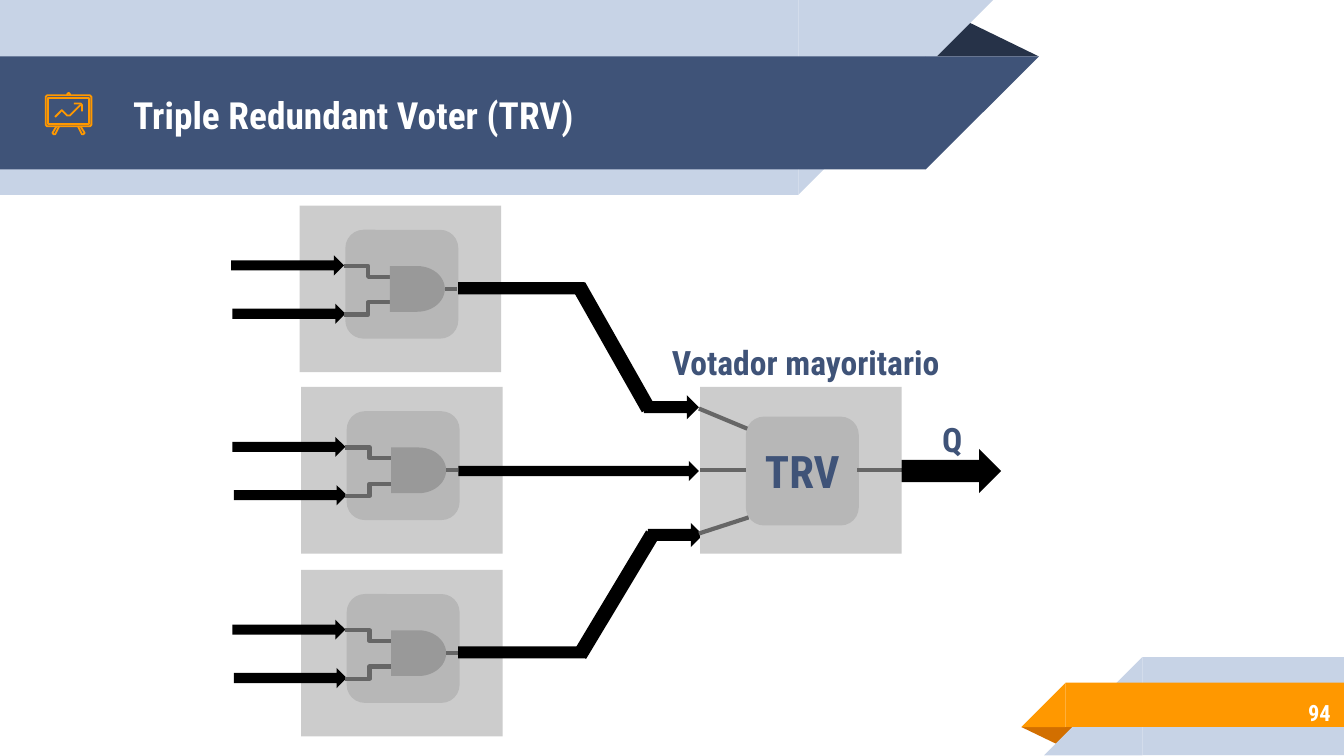
import pptx
import pptx.util
import pptx.dml.color
import pptx.enum.shapes
import pptx.enum.text
import pptx.oxml.ns
import lxml.etree

Inches = pptx.util.Inches
Pt = pptx.util.Pt
RGBColor = pptx.dml.color.RGBColor
SHAPE = pptx.enum.shapes.MSO_SHAPE
LINK = pptx.enum.shapes.MSO_CONNECTOR
ALIGN = pptx.enum.text.PP_ALIGN

NAVY = RGBColor(0x3F, 0x53, 0x78)
DARK_NAVY = RGBColor(0x26, 0x32, 0x48)
PALE_BLUE = RGBColor(0xC7, 0xD3, 0xE6)
ORANGE = RGBColor(0xFF, 0x98, 0x00)
DARK_ORANGE = RGBColor(0xD2, 0x6F, 0x00)
LIGHT_GREY = RGBColor(0xCC, 0xCC, 0xCC)
MID_GREY = RGBColor(0xB7, 0xB7, 0xB7)
GATE_GREY = RGBColor(0x99, 0x99, 0x99)
WIRE_GREY = RGBColor(0x66, 0x66, 0x66)
BLACK = RGBColor(0, 0, 0)
WHITE = RGBColor(0xFF, 0xFF, 0xFF)


def write(frame, text, size=18, color=NAVY, align=ALIGN.CENTER, space_after=0):
    """Put one bold, vertically centred paragraph into a text frame."""
    frame.word_wrap = True
    frame.auto_size = pptx.enum.text.MSO_AUTO_SIZE.NONE
    frame.vertical_anchor = pptx.enum.text.MSO_ANCHOR.MIDDLE
    frame.margin_left = frame.margin_right = Inches(0.1)
    frame.margin_top = frame.margin_bottom = Inches(0.1)
    frame.text = text
    paragraph = frame.paragraphs[0]
    paragraph.alignment = align
    paragraph.space_after = Pt(space_after)
    font = paragraph.runs[0].font
    font.name = "Roboto Condensed"
    font.size = Pt(size)
    font.bold = True
    font.color.rgb = color


class Sketch:
    """The current slide and the style of its elements."""

    wire_width = Pt(2.25)
    icon_width = Pt(0.96)
    icon_unit = Inches(0.01)

    def __init__(self, slide):
        self.slide = slide
        self.shapes = slide.shapes

    def title(self, text, left, top, width, height):
        title = self.shapes.title
        title.left, title.top = Inches(left), Inches(top)
        title.width, title.height = Inches(width), Inches(height)
        write(title.text_frame, text, size=20, color=WHITE, align=ALIGN.LEFT)
        # Bring the title in front of the banner
        title.element.getparent().append(title.element)

    def label(self, text, left, top, width, height, **style):
        box = self.shapes.add_textbox(*map(Inches, (left, top, width, height)))
        write(box.text_frame, text, **style)

    def block(self, kind, left, top, width, height, fill,
              rotation=0, flip=None, adjust=None):
        block = self.shapes.add_shape(
            kind, *map(Inches, (left, top, width, height)))
        block.shadow.inherit = False
        block.fill.solid()
        block.fill.fore_color.rgb = fill
        block.line.fill.background()
        block.rotation = rotation
        if flip:
            block.element.spPr.xfrm.set(flip, "1")
        if adjust is not None:
            block.adjustments[0] = adjust
        return block

    def arrow(self, left, top, width, height):
        self.block(SHAPE.RIGHT_ARROW, left, top, width, height, BLACK)

    def wire(self, x1, y1, x2, y2, kind=LINK.STRAIGHT):
        wire = self.shapes.add_connector(kind, *map(Inches, (x1, y1, x2, y2)))
        wire.line.color.rgb = WIRE_GREY
        wire.line.width = self.wire_width
        lxml.etree.SubElement(wire.element.spPr,
                              pptx.oxml.ns.qn("a:effectLst"))

    def stroke(self, points, close=False):
        """Draw an outline through points given in hundredths of an inch."""
        builder = self.shapes.build_freeform(*points[0], scale=self.icon_unit)
        builder.add_line_segments(points[1:], close=close)
        stroke = builder.convert_to_shape()
        stroke.shadow.inherit = False
        stroke.fill.background()
        stroke.line.color.rgb = ORANGE
        stroke.line.width = self.icon_width

    def gate_module(self, left, top):
        """A redundant module: two inputs, an AND gate and its output."""
        self.block(SHAPE.RECTANGLE, left, top, 1.5, 1.24, LIGHT_GREY)
        self.arrow(left - 0.5, top + 0.73, 0.84, 0.15)
        self.arrow(left - 0.51, top + 0.37, 0.84, 0.15)
        self.block(SHAPE.ROUNDED_RECTANGLE, left + 0.34, top + 0.18,
                   0.84, 0.81, MID_GREY)
        for inner, outer in ((0.53, 0.45), (0.72, 0.81)):
            self.wire(left + 0.69, top + inner, left + 0.33, top + outer,
                      LINK.ELBOW)
        self.block(SHAPE.FLOWCHART_DELAY, left + 0.67, top + 0.45,
                   0.41, 0.34, GATE_GREY)
        self.wire(left + 1.08, top + 0.62, left + 1.17, top + 0.62)


def main():
    deck = pptx.Presentation()
    deck.slide_width, deck.slide_height = Inches(10), Inches(10 * 9 / 16)
    sketch = Sketch(deck.slides.add_slide(deck.slide_layouts[5]))

    # Header ribbon
    sketch.block(SHAPE.ISOSCELES_TRIANGLE, 6.88, 0.14, 0.85, 0.28, DARK_NAVY,
                 adjust=0.324)
    for top, length, height, fill in ((0, 5.94, 1.45, PALE_BLUE),
                                      (0.42, 6.89, 0.84, NAVY)):
        sketch.block(SHAPE.RECTANGLE, 0, top, length, height, fill)
        sketch.block(SHAPE.RIGHT_TRIANGLE, length, top, height, height, fill,
                     flip="flipV")

    # Footer ribbon
    sketch.block(SHAPE.ISOSCELES_TRIANGLE, 7.6, 5.41, 0.43, 0.14, DARK_ORANGE,
                 rotation=180, adjust=0.324)
    for left, top, height, fill in ((8.5, 4.89, 0.73, PALE_BLUE),
                                    (7.93, 5.08, 0.33, ORANGE)):
        sketch.block(SHAPE.RECTANGLE, left, top, 10 - left, height, fill)
        sketch.block(SHAPE.RIGHT_TRIANGLE, left - height, top, height, height,
                     fill, flip="flipH")

    sketch.title("Triple Redundant Voter (TRV)", 0.89, 0.43, 5.75, 0.84)
    sketch.label("94", 8.37, 5.13, 1.63, 0.35,
                 size=12, color=WHITE, align=ALIGN.RIGHT)

    # Easel icon: board, hook, legs, panel and trend arrow
    sketch.stroke([(35, 71), (67, 71), (68, 72), (68, 93), (67, 94),
                   (35, 94), (34, 93), (34, 72)], close=True)
    sketch.stroke([(50, 71), (50, 70), (51, 69), (52, 70), (52, 71)])
    sketch.stroke([(42, 94), (39, 99), (40, 100), (41, 100), (44, 94)])
    sketch.stroke([(58, 94), (61, 100), (62, 100), (63, 99), (60, 94)])
    sketch.stroke([(36, 73), (66, 73), (66, 92), (36, 92)], close=True)
    sketch.stroke([(60, 78), (52, 86), (50, 86), (46, 82), (41, 87)])
    sketch.stroke([(55, 77), (60, 77), (61, 78), (61, 83)])

    # Three redundant modules
    for left, top in ((2.23, 1.53), (2.24, 2.88), (2.24, 4.24)):
        sketch.gate_module(left, top)

    # Paths from the modules to the voter
    sketch.arrow(3.41, 3.43, 1.79, 0.15)
    for top in (2.1, 4.81):
        sketch.block(SHAPE.RECTANGLE, 3.41, top, 0.94, 0.09, BLACK)
    sketch.arrow(4.79, 2.94, 0.41, 0.18)
    sketch.arrow(4.82, 3.89, 0.41, 0.18)
    for left, top, angle in ((4.06, 4.37, 301), (4.04, 2.53, 60.5)):
        sketch.block(SHAPE.RECTANGLE, left, top, 1.05, 0.11, BLACK,
                     rotation=angle)

    # Majority voter and its output
    sketch.block(SHAPE.RECTANGLE, 5.21, 2.88, 1.5, 1.24, LIGHT_GREY)
    voter = sketch.block(SHAPE.ROUNDED_RECTANGLE, 5.55, 3.1, 0.84, 0.81,
                         MID_GREY)
    write(voter.text_frame, "TRV", size=24)
    for ends in ((5.21, 3.5, 5.55, 3.5), (5.2, 3.04, 5.56, 3.19),
                 (5.2, 3.97, 5.57, 3.85), (6.38, 3.5, 6.71, 3.5)):
        sketch.wire(*ends)
    sketch.arrow(6.71, 3.34, 0.74, 0.33)
    sketch.label("Votador mayoritario", 4.82, 2.52, 2.35, 0.35, space_after=10)
    sketch.label("Q", 6.91, 3.04, 0.35, 0.45, space_after=10)

    deck.save("out.pptx")


if __name__ == "__main__":
    main()
